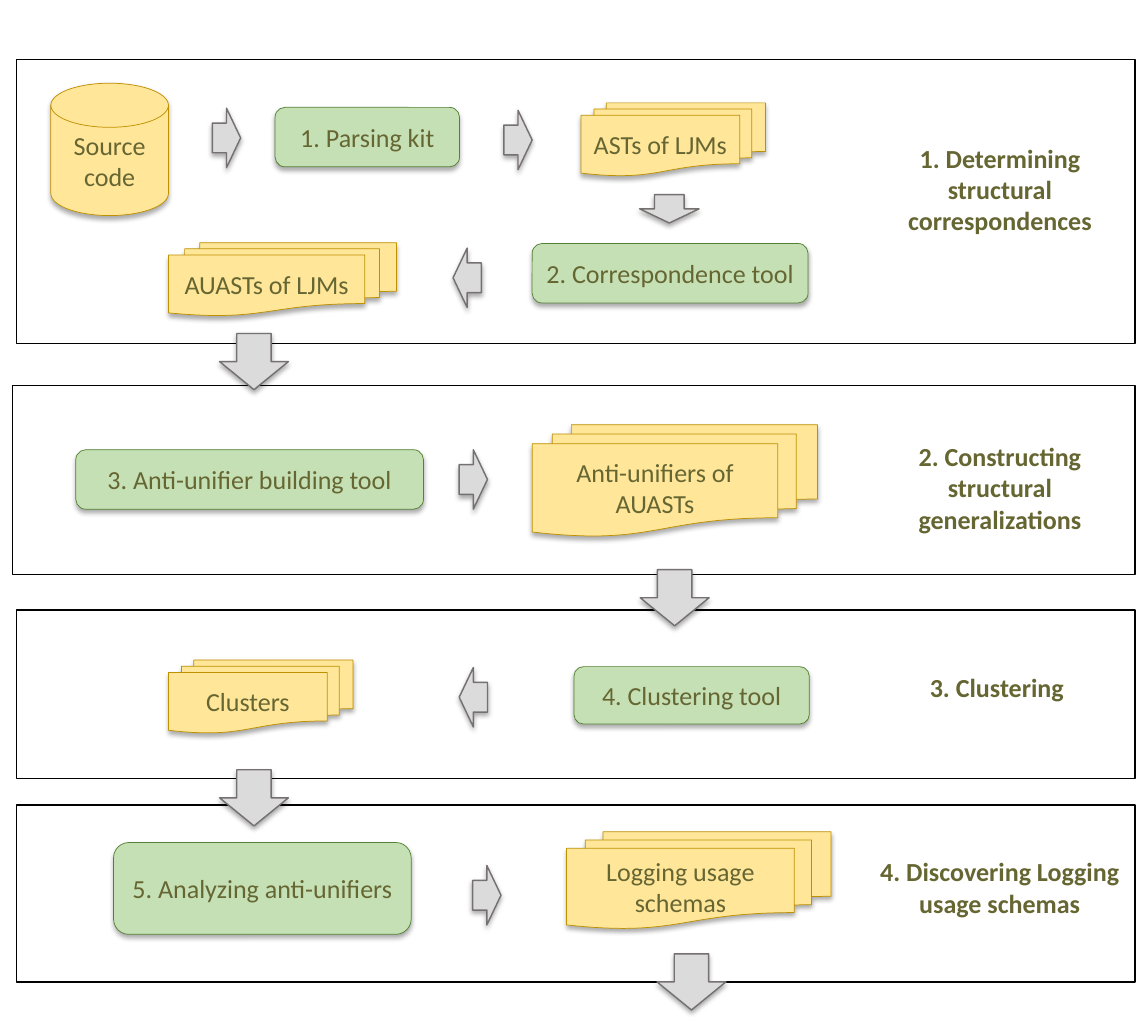
from dataclasses import dataclass

from lxml.etree import SubElement
from pptx import Presentation
from pptx.dml.color import RGBColor
from pptx.enum.shapes import MSO_AUTO_SHAPE_TYPE as Preset
from pptx.enum.text import MSO_ANCHOR as Anchor, MSO_AUTO_SIZE as AutoSize, PP_ALIGN as Align
from pptx.oxml.ns import qn
from pptx.shapes.autoshape import Shape
from pptx.slide import Slide
from pptx.util import Cm, Pt


@dataclass(frozen=True)
class Style:
    fill: str
    line: str
    line_width: float
    shadow: bool = True


@dataclass(frozen=True)
class Theme:
    font: str = "Calibri"
    size: int = 18
    text: str = "666633"
    shadow: str = "000000"
    panel: Style = Style("FFFFFF", "000000", 1, False)
    data: Style = Style("FFE699", "BF9000", 0.5)
    tool: Style = Style("C5E0B4", "548235", 0.5)
    arrow: Style = Style("DBDBDB", "767171", 1)


@dataclass(frozen=True)
class Box:
    left: float
    top: float
    width: float
    height: float


@dataclass(frozen=True)
class Node:
    text: str
    preset: Preset
    style: Style
    box: Box


@dataclass(frozen=True)
class Arrow:
    left: float
    top: float
    rotation: int = 0
    width: float = 0.69
    height: float = 1.45


@dataclass(frozen=True)
class Caption:
    lines: tuple[str, ...]
    box: Box


THEME = Theme()
RIGHT, DOWN, LEFT = 0, 90, 180
STAGE_ARROW = (DOWN, 1.37, 1.68)
DOCUMENTS = Preset.FLOWCHART_MULTIDOCUMENT
ROUNDED = Preset.ROUNDED_RECTANGLE

PANELS = (
    Box(0.41, 1.45, 27.28, 6.93),
    Box(0.3, 9.4, 27.39, 4.62),
    Box(0.41, 14.88, 27.28, 4.11),
    Box(0.41, 19.63, 27.28, 4.32),
)
NODES = (
    Node("Source code", Preset.FLOWCHART_MAGNETIC_DISK, THEME.data, Box(1.24, 2.03, 2.87, 3.23)),
    Node("1. Parsing kit", ROUNDED, THEME.tool, Box(6.71, 2.62, 4.5, 1.45)),
    Node("ASTs of LJMs", DOCUMENTS, THEME.data, Box(14.17, 2.51, 4.5, 1.78)),
    Node("2. Correspondence tool", ROUNDED, THEME.tool, Box(12.98, 5.94, 6.73, 1.45)),
    Node("AUASTs of LJMs", DOCUMENTS, THEME.data, Box(4.11, 5.92, 5.56, 1.78)),
    Node("3. Anti-unifier building tool", ROUNDED, THEME.tool, Box(1.85, 10.97, 8.48, 1.45)),
    Node("Anti-unifiers of AUASTs", DOCUMENTS, THEME.data, Box(12.98, 10.36, 6.96, 2.72)),
    Node("4. Clustering tool", ROUNDED, THEME.tool, Box(14, 16.26, 5.74, 1.4)),
    Node("Clusters", DOCUMENTS, THEME.data, Box(4.11, 16.1, 4.5, 1.78)),
    Node("5. Analyzing anti-unifiers", ROUNDED, THEME.tool, Box(2.77, 20.55, 7.26, 2.24)),
    Node("Logging usage schemas", DOCUMENTS, THEME.data, Box(13.82, 20.29, 6.45, 2.36)),
)
ARROWS = (
    Arrow(5.18, 2.64, RIGHT),
    Arrow(12.29, 2.69, RIGHT),
    Arrow(15.98, 4.37, DOWN),
    Arrow(11.05, 6.05, LEFT),
    Arrow(5.51, 7.98, *STAGE_ARROW),
    Arrow(11.2, 10.97, RIGHT),
    Arrow(15.77, 13.74, *STAGE_ARROW),
    Arrow(11.2, 16.28, LEFT),
    Arrow(5.51, 18.62, *STAGE_ARROW),
    Arrow(11.53, 21.11, RIGHT),
    Arrow(16.18, 23.11, *STAGE_ARROW),
)
CAPTIONS = (
    Caption(("1. Determining structural correspondences",), Box(21.64, 3.35, 5.5, 2.57)),
    Caption(("2. Constructing structural generalizations",), Box(21.64, 10.62, 5.5, 2.57)),
    Caption(("3. Clustering ",), Box(20.78, 16.26, 7.21, 1.02)),
    Caption(("4. Discovering Logging", "usage schemas"), Box(20.78, 20.75, 7.21, 1.78)),
)


def place(box: Box) -> tuple[Cm, Cm, Cm, Cm]:
    """Return the box as slide lengths."""
    return Cm(box.left), Cm(box.top), Cm(box.width), Cm(box.height)


def add_shadow(shape: Shape) -> None:
    """Give the shape a soft shadow falling straight down."""
    effects = shape._element.spPr.find(qn("a:effectLst"))
    outer = SubElement(effects, qn("a:outerShdw"), blurRad=str(Pt(3.5)), dist=str(Pt(2.2)),
                       dir="5400000", rotWithShape="0")
    color = SubElement(outer, qn("a:srgbClr"), val=THEME.shadow)
    SubElement(color, qn("a:alpha"), val="32000")


def add_styled_shape(slide: Slide, preset: Preset, box: Box, style: Style) -> Shape:
    """Add a preset shape with the given fill, line and shadow."""
    shape = slide.shapes.add_shape(preset, *place(box))
    shape.shadow.inherit = False
    shape.fill.solid()
    shape.fill.fore_color.rgb = RGBColor.from_string(style.fill)
    shape.line.color.rgb = RGBColor.from_string(style.line)
    shape.line.width = Pt(style.line_width)
    if style.shadow:
        add_shadow(shape)
    return shape


def write_lines(shape: Shape, lines: tuple[str, ...], bold: bool = False) -> None:
    """Write centred lines, one paragraph each."""
    frame = shape.text_frame
    frame.word_wrap = True
    for index, line in enumerate(lines):
        paragraph = frame.add_paragraph() if index else frame.paragraphs[0]
        paragraph.alignment = Align.CENTER
        run = paragraph.add_run()
        run.text = line
        run.font.name = THEME.font
        run.font.size = Pt(THEME.size)
        run.font.bold = bold
        run.font.color.rgb = RGBColor.from_string(THEME.text)


def add_node(slide: Slide, node: Node) -> None:
    """Add a labelled tool or data shape."""
    shape = add_styled_shape(slide, node.preset, node.box, node.style)
    shape.text_frame.vertical_anchor = Anchor.MIDDLE
    write_lines(shape, (node.text,))


def add_arrow(slide: Slide, arrow: Arrow) -> None:
    """Add a block arrow turned to its direction."""
    box = Box(arrow.left, arrow.top, arrow.width, arrow.height)
    shape = add_styled_shape(slide, Preset.RIGHT_ARROW, box, THEME.arrow)
    shape.rotation = arrow.rotation


def add_caption(slide: Slide, caption: Caption) -> None:
    """Add the bold name of a stage."""
    shape = slide.shapes.add_textbox(*place(caption.box))
    write_lines(shape, caption.lines, bold=True)
    shape.text_frame.auto_size = AutoSize.SHAPE_TO_FIT_TEXT


def main() -> None:
    """Build the four-stage process slide."""
    presentation = Presentation()
    presentation.slide_width = Cm(28)
    presentation.slide_height = Cm(25)
    slide = presentation.slides.add_slide(presentation.slide_layouts[6])
    for panel in PANELS:
        add_styled_shape(slide, Preset.RECTANGLE, panel, THEME.panel)
    for node in NODES:
        add_node(slide, node)
    for arrow in ARROWS:
        add_arrow(slide, arrow)
    for caption in CAPTIONS:
        add_caption(slide, caption)
    presentation.save("out.pptx")


if __name__ == "__main__":
    main()
